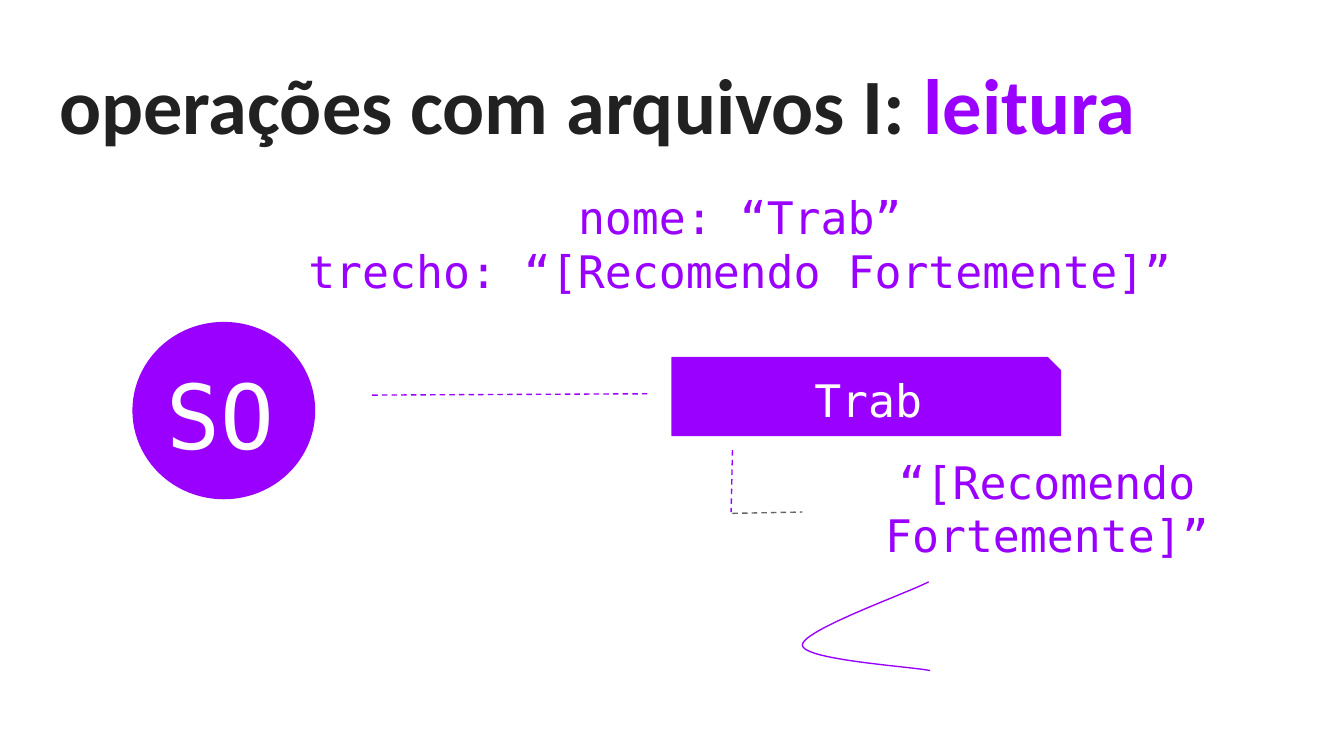
from dataclasses import dataclass

from lxml.etree import SubElement
from pptx import Presentation
from pptx.dml.color import RGBColor
from pptx.enum.dml import MSO_LINE
from pptx.enum.shapes import MSO_CONNECTOR, MSO_SHAPE
from pptx.enum.text import MSO_ANCHOR, MSO_AUTO_SIZE, PP_ALIGN
from pptx.oxml.ns import qn
from pptx.util import Inches, Pt


@dataclass(frozen=True)
class Theme:
    """Colours, fonts and sizes of the slide."""

    purple: RGBColor = RGBColor(0x99, 0x00, 0xFF)
    ink: RGBColor = RGBColor(0x21, 0x21, 0x21)
    gray: RGBColor = RGBColor(0x66, 0x66, 0x66)
    white: RGBColor = RGBColor(0xFF, 0xFF, 0xFF)
    title_font: str = "Calibri"
    code_font: str = "DejaVu Sans Mono"
    title_size: int = 42
    system_size: int = 48
    code_size: int = 24
    line_width: float = 0.75


THEME = Theme()


def add_run(paragraph, text, font, size, color, bold=False):
    """Append one formatted run to a paragraph."""
    run = paragraph.add_run()
    run.text = text
    run.font.name = font
    run.font.size = Pt(size)
    run.font.bold = bold
    run.font.color.rgb = color


def format_frame(text_frame, anchor):
    """Wrap the text inside equal insets."""
    text_frame.word_wrap = True
    text_frame.auto_size = MSO_AUTO_SIZE.NONE
    text_frame.vertical_anchor = anchor
    text_frame.margin_left = text_frame.margin_right = Inches(0.1)
    text_frame.margin_top = text_frame.margin_bottom = Inches(0.1)


def set_title(slide, box, parts):
    """Place the title and write its coloured parts."""
    title = slide.shapes.title
    title.left, title.top, title.width, title.height = map(Inches, box)
    format_frame(title.text_frame, MSO_ANCHOR.TOP)
    paragraph = title.text_frame.paragraphs[0]
    paragraph.alignment = PP_ALIGN.LEFT
    for text, color in parts:
        add_run(paragraph, text, THEME.title_font, THEME.title_size, color, True)


def add_code_text(slide, box, lines, color=THEME.purple, size=THEME.code_size,
                  alignment=PP_ALIGN.CENTER, anchor=MSO_ANCHOR.TOP):
    """Add monospaced text with one paragraph per line."""
    text_frame = slide.shapes.add_textbox(*map(Inches, box)).text_frame
    format_frame(text_frame, anchor)
    for index, line in enumerate(lines):
        paragraph = text_frame.add_paragraph() if index else text_frame.paragraphs[0]
        paragraph.alignment = alignment
        add_run(paragraph, line, THEME.code_font, size, color)


def style_line(line, color=THEME.purple):
    """Give a line its colour and the common width."""
    line.color.rgb = color
    line.width = Pt(THEME.line_width)


def add_filled_shape(slide, kind, box):
    """Add a purple preset shape."""
    shape = slide.shapes.add_shape(kind, *map(Inches, box))
    shape.shadow.inherit = False
    shape.fill.solid()
    shape.fill.fore_color.rgb = THEME.purple
    style_line(shape.line)
    return shape


def add_dashed_line(slide, start, end, color=THEME.purple):
    """Add a dashed straight connector."""
    connector = slide.shapes.add_connector(
        MSO_CONNECTOR.STRAIGHT, *map(Inches, start + end))
    style_line(connector.line, color)
    connector.line.dash_style = MSO_LINE.DASH
    SubElement(connector._element.spPr, qn("a:effectLst"))


def bezier_points(controls, steps=24):
    """Return points along a cubic curve, after its start."""
    points = []
    for step in range(1, steps + 1):
        t = step / steps
        weights = ((1 - t) ** 3, 3 * t * (1 - t) ** 2, 3 * t ** 2 * (1 - t), t ** 3)
        points.append(tuple(
            Inches(sum(weight * value for weight, value in zip(weights, axis)))
            for axis in zip(*controls)))
    return points


def add_curve(slide, controls):
    """Draw an open curve through chained cubic segments."""
    builder = slide.shapes.build_freeform(*map(Inches, controls[0]))
    for first in range(0, len(controls) - 1, 3):
        builder.add_line_segments(bezier_points(controls[first:first + 4]), close=False)
    curve = builder.convert_to_shape()
    curve.shadow.inherit = False
    curve.fill.background()
    style_line(curve.line)


def main():
    """Build the file reading slide."""
    presentation = Presentation()
    presentation.slide_width = Inches(10)
    presentation.slide_height = Inches(10 * 9 / 16)
    slide = presentation.slides.add_slide(presentation.slide_layouts[5])
    set_title(slide, (0.34, 0.32, 9.32, 0.88),
              [("operações com arquivos I: ", THEME.ink), ("leitura", THEME.purple)])

    add_filled_shape(slide, MSO_SHAPE.OVAL, (0.99, 2.4, 1.35, 1.31))
    add_code_text(slide, (1.14, 2.58, 1.63, 0.74), ["SO"], THEME.white,
                  THEME.system_size, PP_ALIGN.LEFT)
    add_code_text(slide, (2.12, 1.33, 6.77, 0.17),
                  ["nome: “Trab”", "trecho: “[Recomendo Fortemente]”"])
    add_dashed_line(slide, (2.77, 2.94), (4.83, 2.93))

    file_shape = add_filled_shape(
        slide, MSO_SHAPE.SNIP_1_RECTANGLE, (5, 2.66, 2.89, 0.58))
    file_shape.adjustments[0] = 0.167
    add_code_text(slide, (5.27, 2.67, 2.38, 0.77), ["Trab"], THEME.white)

    add_curve(slide, [(6.91, 4.33), (6.76, 4.41), (5.97, 4.69), (5.97, 4.8),
                      (5.97, 4.91), (6.77, 4.96), (6.92, 4.99)])
    add_dashed_line(slide, (5.45, 3.35), (5.44, 3.81))
    add_dashed_line(slide, (5.45, 3.82), (5.97, 3.81), THEME.gray)
    add_code_text(slide, (5.79, 3.31, 4, 0.94), ["“[Recomendo Fortemente]”"],
                  anchor=MSO_ANCHOR.MIDDLE)
    presentation.save("out.pptx")


if __name__ == "__main__":
    main()
